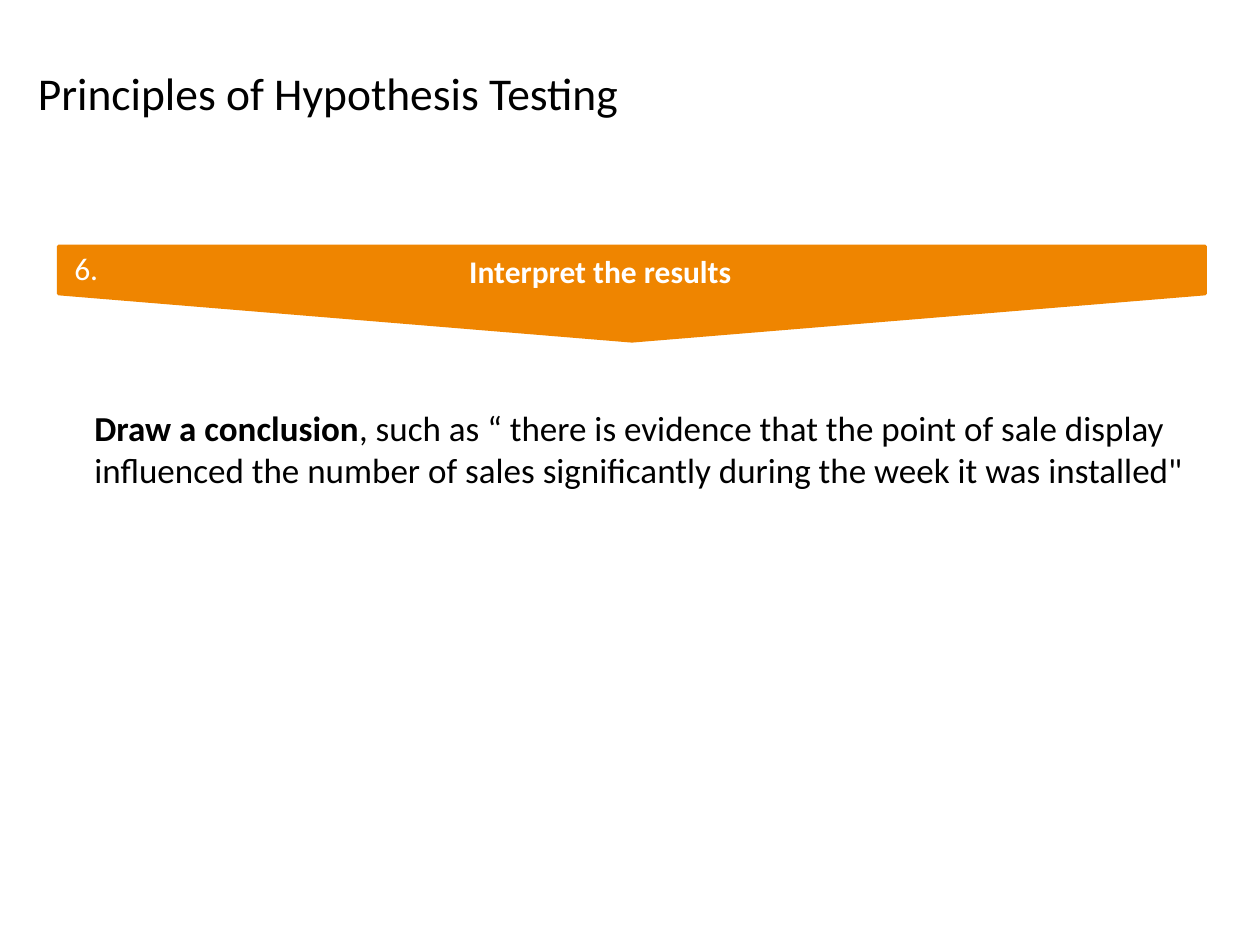
from pptx import Presentation
from pptx import util as u
from pptx.dml.color import RGBColor
from pptx.enum import shapes, text

FONT = "Calibri"
COLORS = {"orange": "EF8500", "white": "FFFFFF", "black": "000000"}


def color(name):
    return RGBColor.from_string(COLORS[name])


def place(shape, left, top, width, height):
    shape.left, shape.top = u.Inches(left), u.Inches(top)
    shape.width, shape.height = u.Inches(width), u.Inches(height)


def format_run(run, size, color_name, bold=False):
    run.font.name = FONT
    run.font.size = u.Pt(size)
    run.font.bold = bold
    run.font.color.rgb = color(color_name)


def add_title(slide, words):
    title = slide.shapes.title
    place(title, 0.2, 0.11, 9.61, 1.25)
    title.text_frame.text = words
    title.text_frame.vertical_anchor = text.MSO_ANCHOR.MIDDLE
    paragraph = title.text_frame.paragraphs[0]
    paragraph.alignment = text.PP_ALIGN.LEFT
    format_run(paragraph.runs[0], 26, "black")


def add_filled_shape(slide, kind, box, line_width):
    shape = slide.shapes.add_shape(kind, *map(u.Inches, box))
    shape.shadow.inherit = False
    shape.fill.solid()
    shape.fill.fore_color.rgb = color("orange")
    shape.line.color.rgb = color("orange")
    shape.line.width = u.Pt(line_width)
    return shape


def add_text(slide, box, parts, size, color_name):
    """Add a wrapped text box; parts holds (words, bold) pairs."""
    text_box = slide.shapes.add_textbox(*map(u.Inches, box))
    text_box.text_frame.word_wrap = True
    paragraph = text_box.text_frame.paragraphs[0]
    for words, bold in parts:
        run = paragraph.add_run()
        run.text = words
        format_run(run, size, color_name, bold)
    return paragraph


def add_step_banner(slide, number, heading):
    # Pentagon turned to point down
    pentagon = add_filled_shape(
        slide, shapes.MSO_SHAPE.PENTAGON, (4.64, -2.22, 0.75, 9.1), 2)
    pentagon.rotation = 90

    # Step number
    badge = add_filled_shape(
        slide, shapes.MSO_SHAPE.RECTANGLE, (0.47, 1.95, 0.43, 0.36), 0.75)
    badge.text_frame.text = number
    badge.text_frame.vertical_anchor = text.MSO_ANCHOR.MIDDLE
    paragraph = badge.text_frame.paragraphs[0]
    paragraph.alignment = text.PP_ALIGN.CENTER
    format_run(paragraph.runs[0], 18, "white")

    # Step heading
    paragraph = add_text(
        slide, (1.85, 1.95, 5.83, 0.4), [(heading, True)], 18, "white")
    paragraph.alignment = text.PP_ALIGN.CENTER
    paragraph.space_before = u.Pt(6)


def main():
    presentation = Presentation()
    presentation.slide_width = u.Inches(10)
    presentation.slide_height = u.Inches(7.5)
    slide = presentation.slides.add_slide(presentation.slide_layouts[5])

    add_title(slide, "Principles of Hypothesis Testing")
    add_step_banner(slide, "6.", "Interpret the results")

    # Conclusion
    conclusion = [
        ("Draw a conclusion", True),
        (", such as “ there is evidence that the point of sale display "
         "influenced the number of sales significantly during the week "
         "it was installed\"", False),
    ]
    add_text(slide, (0.65, 3.18, 8.92, 0.77), conclusion, 20, "black")

    presentation.save("out.pptx")


if __name__ == "__main__":
    main()
